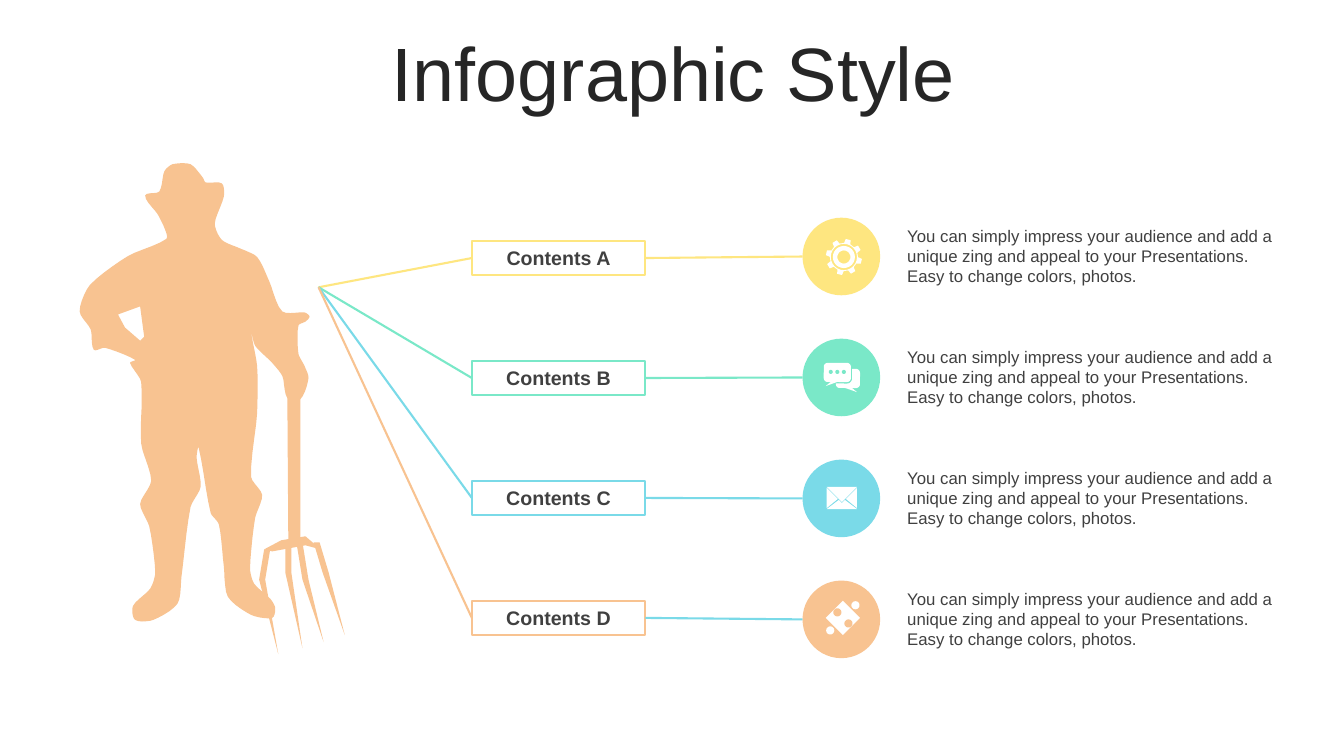
from math import cos, dist, hypot, pi, sin

from lxml import etree
from pptx import Presentation
from pptx.dml.color import RGBColor
from pptx.enum.shapes import MSO_CONNECTOR, MSO_SHAPE
from pptx.enum.text import MSO_ANCHOR, MSO_AUTO_SIZE, PP_ALIGN
from pptx.oxml.ns import qn
from pptx.util import Inches, Pt

STRAIGHT = MSO_CONNECTOR.STRAIGHT
RECTANGLE, OVAL = MSO_SHAPE.RECTANGLE, MSO_SHAPE.OVAL
MIDDLE, TOP = MSO_ANCHOR.MIDDLE, MSO_ANCHOR.TOP
LEFT, CENTER = PP_ALIGN.LEFT, PP_ALIGN.CENTER
FIT_SHAPE = MSO_AUTO_SIZE.SHAPE_TO_FIT_TEXT
LEFT_SIDE, RIGHT_SIDE = 1, 3

FONT = "Arial"
YELLOW, GREEN, BLUE, ORANGE = "FEE680", "7AE8C8", "7ADAE8", "F8C391"
WHITE, TITLE_COLOR, TEXT_COLOR = "FFFFFF", "262626", "404040"
TITLE = "Infographic Style"
DESCRIPTION = ("You can simply impress your audience and add a unique zing and "
               "appeal to your Presentations. Easy to change colors, photos.")
# label, colour, colour of the line to the disc
ROWS = [
    ("Contents A", YELLOW, YELLOW),
    ("Contents B", GREEN, GREEN),
    ("Contents C", BLUE, BLUE),
    ("Contents D", ORANGE, BLUE),
]
FAN_X, FAN_Y = 3.16, 2.85
BOX_X, BOX_Y, BOX_PITCH, BOX_WIDTH, BOX_HEIGHT = 4.68, 2.39, 1.19, 1.72, 0.34
DISC_X, DISC_Y, DISC_PITCH, DISC_SIZE = 7.96, 2.16, 1.2, 0.77
TEXT_X, TEXT_Y, TEXT_WIDTH, TEXT_HEIGHT = 8.9, 2.19, 3.97, 0.71

# Outlines in hundredths of an inch
BODY = [
    (237, 246), (255, 255), (267, 279), (280, 309), (302, 310), (307, 314), (303, 319),
    (296, 323), (296, 351), (302, 363), (306, 375), (298, 396), (285, 395), (280, 373),
    (269, 359), (253, 343), (249, 329), (255, 363), (255, 410), (249, 473), (260, 491),
    (253, 514), (248, 564), (252, 579), (268, 594), (273, 603), (270, 613), (249, 610),
    (226, 592), (222, 562), (217, 520), (209, 509), (197, 444), (195, 454), (199, 483),
    (189, 503), (180, 572), (176, 599), (152, 615), (134, 615), (132, 601), (149, 584),
    (154, 568), (148, 522), (139, 500), (150, 477), (140, 440), (140, 379), (129, 360),
    (134, 357), (104, 345), (93, 347), (90, 327), (79, 309), (89, 283), (127, 254),
    (165, 237), (163, 226), (156, 212), (144, 194), (158, 190), (163, 170), (171, 163),
    (189, 163), (201, 176), (204, 181), (220, 182), (222, 195), (213, 222), (220, 238),
]
ARM_GAP = [(139, 304), (143, 334), (139, 338), (124, 325), (117, 312)]
HANDLE = [(285, 390), (298, 390), (298, 535), (286, 535)]
FORK_BAR = [(262, 545), (279, 536), (303, 532), (318, 545), (303, 541), (270, 547)]
TINES = [  # root, bend and tip
    [(262, 545), (257, 575), (276, 649)],
    [(283, 540), (283, 568), (300, 643)],
    [(294, 538), (300, 575), (321, 637)],
    [(311, 538), (320, 568), (342, 630)],
]
TINE_WIDTH = 6


def circle(x, y, radius, steps=24):
    turns = [2 * pi * i / steps for i in range(steps)]
    return [(x + radius * cos(turn), y + radius * sin(turn)) for turn in turns]


def bubble(left, top, width, height, radius):
    """Outline of a rectangle with round corners."""
    points = []
    for x, y in circle(0, 0, radius, 28):
        inner_x, inner_y = width / 2 - radius, height / 2 - radius
        points.append((left + width / 2 + x + (inner_x if x > 0 else -inner_x),
                       top + height / 2 + y + (inner_y if y > 0 else -inner_y)))
    return points


def smooth(points, steps=5):
    """Run a soft closed curve through the points."""
    tangents = []
    for i, (x, y) in enumerate(points):
        before, after = points[i - 1], points[(i + 1) % len(points)]
        dx, dy = after[0] - before[0], after[1] - before[1]
        tangents.append((dx / hypot(dx, dy), dy / hypot(dx, dy)))
    curve = []
    for i, start in enumerate(points):
        j = (i + 1) % len(points)
        end, reach = points[j], 0.75 * dist(start, points[j])
        for t in (step / steps for step in range(steps)):
            ease = t * t * (3 - 2 * t)
            leave, arrive = reach * t * (1 - t)**2, reach * t * t * (1 - t)
            curve.append(tuple(start[k] + ease * (end[k] - start[k])
                               + leave * tangents[i][k] - arrive * tangents[j][k]
                               for k in (0, 1)))
    return curve


# Each icon gives layers of outlines and a colour, from the top left of its disc
def gear(color):
    x, y, teeth = 41, 39, []
    for tooth in range(8):
        for shift, radius in ((-13, 14), (-8, 18), (8, 18), (13, 14)):
            angle = (tooth * 45 + 14 + shift) * pi / 180
            teeth.append((x + radius * cos(angle), y + radius * sin(angle)))
    return [([teeth] + [circle(x, y, radius) for radius in (13, 11, 6.5)], WHITE)]


def chat(color):
    return [
        ([bubble(33, 30, 24, 19, 4)], WHITE),
        ([[(40, 48), (54, 53), (48, 48)]], WHITE),
        ([bubble(20, 23, 29, 21.5, 5)], color),
        ([[(29, 42), (23, 47), (37, 42)]], WHITE),
        ([bubble(21, 24, 27, 19, 4)], WHITE),
        ([circle(x, 33, 2) for x in (28, 34.5, 41)], color),
    ]


def envelope(color):
    left_fold = [(24, 28), (35, 39), (24, 48)]
    right_fold = [(78 - x, y) for x, y in left_fold]
    flap = [(24, 27), (54, 27), (39, 42)]
    base = [(42, 40), (54, 49), (24, 49), (36, 40), (39, 43)]
    return [([flap, left_fold, right_fold, base], WHITE)]


def puzzle(color):
    x, y, knob, notch = 40, 37, 12.5, 5.5
    return [
        ([circle(x, y, 17, 4)], WHITE),
        ([circle(x + side * knob, y - side * knob, 4) for side in (1, -1)], WHITE),
        ([circle(x + side * notch, y + side * notch, 4) for side in (1, -1)], color),
    ]


ICONS = [gear, chat, envelope, puzzle]


def rgb(color):
    return RGBColor.from_string(color)


def write(shape, text, size, color, align=LEFT, anchor=TOP, bold=False):
    frame = shape.text_frame
    frame.text = text
    frame.word_wrap = True
    frame.vertical_anchor = anchor
    paragraph = frame.paragraphs[0]
    paragraph.alignment = align
    font = paragraph.runs[0].font
    font.name, font.size, font.bold = FONT, Pt(size), bold
    font.color.rgb = rgb(color)
    return paragraph


def paint(shape, color):
    shape.shadow.inherit = False
    shape.fill.solid()
    shape.fill.fore_color.rgb = rgb(color)
    shape.line.fill.background()


def draw_outlines(shapes, outlines, color, x=0, y=0):
    first, *others = [[(round(x * 1000 + px * 10), round(y * 1000 + py * 10))
                       for px, py in outline] for outline in outlines]
    builder = shapes.build_freeform(*first[0], scale=Inches(1) / 1000)
    builder.add_line_segments(first[1:], close=True)
    for points in others:
        builder.move_to(*points[0])
        builder.add_line_segments(points[1:], close=True)
    paint(builder.convert_to_shape(), color)


def draw_farmer(shapes):
    draw_outlines(shapes, [smooth(BODY), ARM_GAP], ORANGE)
    for outline in (HANDLE, FORK_BAR):
        draw_outlines(shapes, [outline], ORANGE)
    for root, bend, tip in TINES:
        inner = [(x + TINE_WIDTH, y) for x, y in (bend, root)]
        draw_outlines(shapes, [[root, bend, tip, *inner]], ORANGE)


def draw_line(shapes, box, side, x, y, color):
    """Draw a line from the middle of a box side to a point."""
    line = shapes.add_connector(STRAIGHT, box.left, box.top, Inches(x), Inches(y))
    line.begin_connect(box, side)
    line.line.color.rgb = rgb(color)
    line.line.width = Pt(1.5)
    etree.SubElement(line._element.spPr, qn("a:effectLst"))


def draw_row(shapes, index, label, color, line_color):
    disc_y = DISC_Y + index * DISC_PITCH
    box = shapes.add_shape(RECTANGLE, Inches(BOX_X), Inches(BOX_Y + index * BOX_PITCH),
                           Inches(BOX_WIDTH), Inches(BOX_HEIGHT))
    box.shadow.inherit = False
    box.fill.background()
    box.line.color.rgb = rgb(color)
    box.line.width = Pt(1.5)
    write(box, label, 14, TEXT_COLOR, CENTER, MIDDLE, bold=True)
    draw_line(shapes, box, LEFT_SIDE, FAN_X, FAN_Y, color)
    draw_line(shapes, box, RIGHT_SIDE, DISC_X, disc_y + DISC_SIZE / 2, line_color)
    disc = shapes.add_shape(OVAL, Inches(DISC_X), Inches(disc_y),
                            Inches(DISC_SIZE), Inches(DISC_SIZE))
    paint(disc, color)
    for outlines, layer_color in ICONS[index](color):
        draw_outlines(shapes, outlines, layer_color, DISC_X, disc_y)
    text = shapes.add_textbox(Inches(TEXT_X), Inches(TEXT_Y + index * DISC_PITCH),
                              Inches(TEXT_WIDTH), Inches(TEXT_HEIGHT))
    write(text, DESCRIPTION, 12, TEXT_COLOR)
    text.text_frame.auto_size = FIT_SHAPE


presentation = Presentation()
presentation.slide_width, presentation.slide_height = Inches(13.33), Inches(7.5)
slide = presentation.slides.add_slide(presentation.slide_layouts[6])
title = slide.shapes.add_textbox(Inches(0.35), Inches(0.37), Inches(12.66), Inches(0.79))
write(title, TITLE, 54, TITLE_COLOR, CENTER, MIDDLE).line_spacing = 0.9
for index, row in enumerate(ROWS):
    draw_row(slide.shapes, index, *row)
draw_farmer(slide.shapes)
presentation.save("out.pptx")
